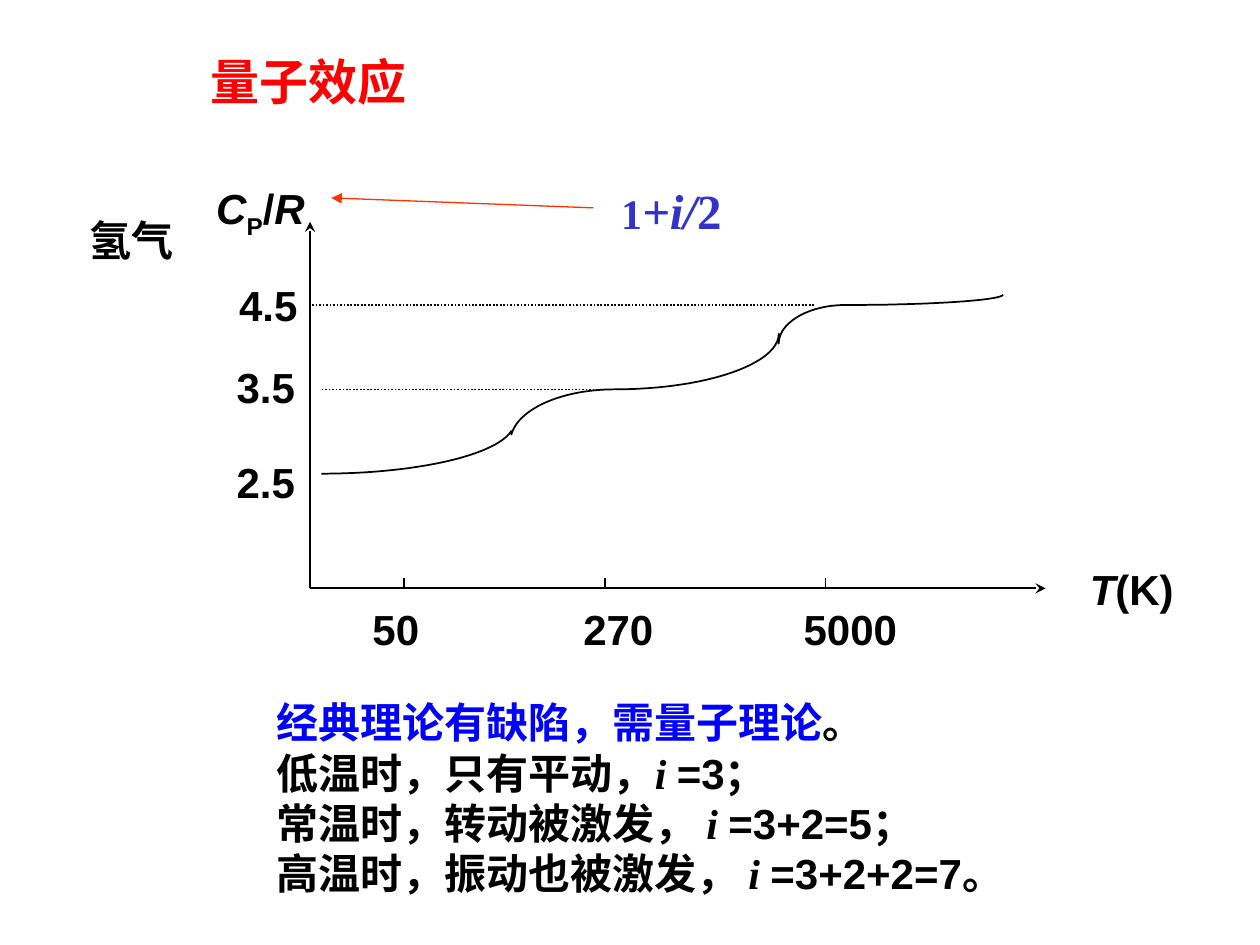
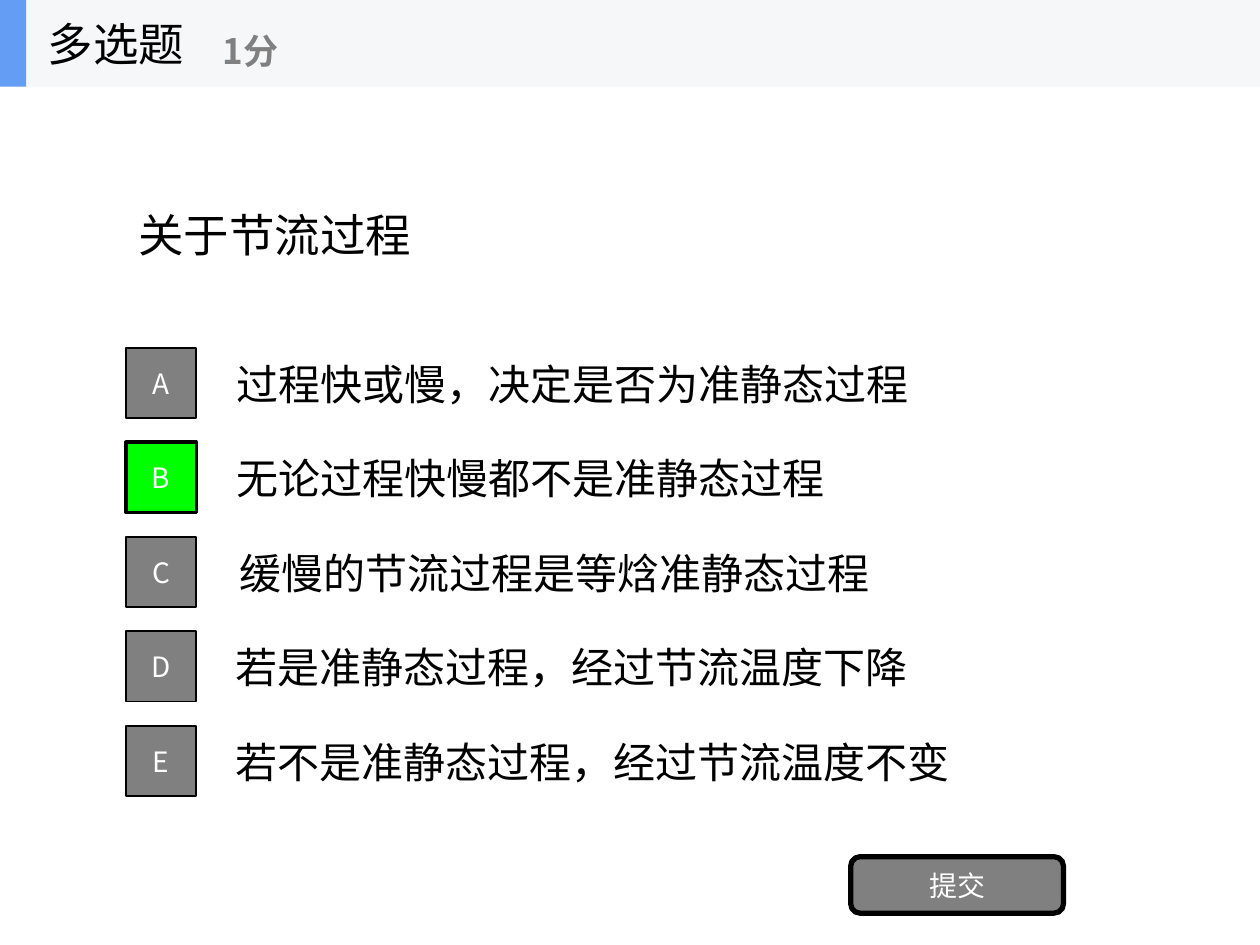
from dataclasses import dataclass

from lxml import etree
from pptx import Presentation
from pptx.dml.color import RGBColor
from pptx.enum.dml import MSO_LINE
from pptx.enum.shapes import MSO_CONNECTOR, MSO_SHAPE
from pptx.enum.text import MSO_ANCHOR, PP_ALIGN
from pptx.oxml.ns import qn
from pptx.util import Cm, Pt

STRAIGHT = MSO_CONNECTOR.STRAIGHT
RECTANGLE, ROUNDED = MSO_SHAPE.RECTANGLE, MSO_SHAPE.ROUNDED_RECTANGLE
LEFT, CENTER = PP_ALIGN.LEFT, PP_ALIGN.CENTER
TOP, MIDDLE = MSO_ANCHOR.TOP, MSO_ANCHOR.MIDDLE
DOTTED = MSO_LINE.ROUND_DOT


@dataclass(frozen=True)
class Theme:
    sans: str = "Arial"
    serif: str = "Times New Roman"
    chinese: str = "Noto Sans CJK SC"
    black: str = "000000"
    white: str = "FFFFFF"
    gray: str = "808080"
    red: str = "FF0000"
    arrow: str = "FF3300"
    blue: str = "0000FF"
    indigo: str = "3333CC"
    green: str = "00FF00"
    band: str = "F6F7F8"
    accent: str = "639EF4"
    heading: int = 28
    question: int = 26
    body: int = 24
    points: int = 20
    button: int = 16


THEME = Theme()


@dataclass(frozen=True)
class Style:
    size: int = THEME.body
    color: str = THEME.black
    font: str = THEME.sans
    bold: bool = True
    italic: bool = False
    baseline: int = 0


LABEL = Style()
LABEL_ITALIC = Style(italic=True)
SUBSCRIPT = Style(baseline=-25000)
VARIABLE = Style(font=THEME.serif, italic=True)
HEADING = Style(THEME.heading, THEME.red)
CONCLUSION = Style(color=THEME.blue)
FORMULA = Style(color=THEME.indigo, font=THEME.serif)
FORMULA_ITALIC = Style(THEME.heading, THEME.indigo, THEME.serif, italic=True)
FORMULA_LARGE = Style(THEME.heading, THEME.indigo, THEME.serif)
QUESTION = Style(THEME.question, font=THEME.chinese, bold=False)
ANSWER = Style(font=THEME.chinese, bold=False)
POINTS = Style(THEME.points, THEME.gray, THEME.chinese)
BUTTON = Style(THEME.button, THEME.white, THEME.chinese, bold=False)


def rgb(color):
    return RGBColor.from_string(color)


def style_run(run, style):
    font = run.font
    font.size, font.name = Pt(style.size), style.font
    font.bold, font.italic = style.bold, style.italic
    font.color.rgb = rgb(style.color)
    properties = font._element
    etree.SubElement(properties, qn("a:ea")).set("typeface", THEME.chinese)
    if style.baseline:
        properties.set("baseline", str(style.baseline))


def fill_text(frame, lines, align):
    """Each line is a list of (text, style) pairs."""
    for number, line in enumerate(lines):
        paragraph = frame.add_paragraph() if number else frame.paragraphs[0]
        paragraph.alignment = align
        for text, style in line:
            run = paragraph.add_run()
            run.text = text
            style_run(run, style)


def add_text(slide, left, top, width, height, *lines, align=LEFT, anchor=TOP,
             wrap=False):
    box = slide.shapes.add_textbox(Cm(left), Cm(top), Cm(width), Cm(height))
    box.text_frame.word_wrap = wrap
    box.text_frame.vertical_anchor = anchor
    fill_text(box.text_frame, lines, align)


def add_block(slide, left, top, width, height, fill, outline=0, label="",
              kind=RECTANGLE):
    block = slide.shapes.add_shape(kind, Cm(left), Cm(top), Cm(width), Cm(height))
    block.shadow.inherit = False
    block.fill.solid()
    block.fill.fore_color.rgb = rgb(fill)
    if outline:
        block.line.color.rgb = rgb(THEME.black)
        block.line.width = Pt(outline)
    else:
        block.line.fill.background()
    if label:
        block.text_frame.vertical_anchor = MIDDLE
        fill_text(block.text_frame, [[(label, BUTTON)]], CENTER)


def add_line(slide, start, end, color=THEME.black, width=1, dash=None, arrow=None):
    ends = [Cm(value) for value in (*start, *end)]
    connector = slide.shapes.add_connector(STRAIGHT, *ends)
    line = connector.line
    line.color.rgb = rgb(color)
    line.width = Pt(width)
    if dash:
        line.dash_style = dash
    if arrow:
        etree.SubElement(line._ln, qn("a:tailEnd")).set("type", arrow)
    etree.SubElement(connector._element.spPr, qn("a:effectLst"))


def bezier(p0, p1, p2, p3, steps=24):
    for step in range(steps + 1):
        t = step / steps
        weights = ((1 - t) ** 3, 3 * t * (1 - t) ** 2, 3 * t * t * (1 - t), t ** 3)
        yield tuple(Cm(sum(w * p[axis] for w, p in zip(weights, (p0, p1, p2, p3))))
                    for axis in (0, 1))


def add_curve(slide, segments):
    points = [point for segment in segments for point in bezier(*segment)]
    builder = slide.shapes.build_freeform(*points[0])
    builder.add_line_segments(points[1:], close=False)
    curve = builder.convert_to_shape()
    curve.shadow.inherit = False
    curve.fill.background()
    curve.line.color.rgb = rgb(THEME.black)
    curve.line.width = Pt(1)


def add_heat_capacity_graph(slide):
    origin_x, origin_y = 6.25, 11.86
    low, middle, high = 9.55, 7.85, 6.15

    # Axes with their names
    add_line(slide, (origin_x, origin_y), (origin_x, 4.47), arrow="stealth")
    add_line(slide, (origin_x, origin_y), (21.08, origin_y), arrow="stealth")
    add_text(slide, 4.11, 3.56, 2.31, 1.42,
             [("C", LABEL_ITALIC), ("P", SUBSCRIPT), ("/", LABEL), ("R", LABEL_ITALIC)])
    add_text(slide, 21.72, 11.23, 2.21, 1.27, [("T", LABEL_ITALIC), ("(K)", LABEL)])
    add_text(slide, 1.55, 4.19, 2.21, 1.27, [("氢气", LABEL)])

    # Capacity levels
    for value, left, top in (("2.5", 4.52, 9.07), ("3.5", 4.52, 7.16),
                             ("4.5", 4.57, 5.51)):
        add_text(slide, left, top, 1.7, 1.27, [(value, LABEL)])
    add_line(slide, (12.19, middle), (6.48, middle), dash=DOTTED)
    add_line(slide, (16.41, high), (origin_x, high), dash=DOTTED)

    # Temperature ticks
    for value, tick, left, width in (("50", 8.15, 7.26, 1.45),
                                     ("270", 12.19, 11.51, 1.93),
                                     ("5000", 16.64, 15.95, 2.39)):
        add_line(slide, (tick, origin_y - 0.2), (tick, origin_y))
        add_text(slide, left, 12.04, width, 1.27, [(value, LABEL)])

    # Stepped capacity curve
    add_curve(slide, [
        ((6.48, low), (8.36, low), (9.98, 9.19), (10.31, 8.69)),
        ((10.31, 8.76), (10.46, 8.23), (11.35, middle), (12.4, middle)),
        ((12.4, middle), (14.22, middle), (15.7, 7.34), (15.7, 6.73)),
        ((15.7, 6.93), (15.7, 6.5), (16.31, high), (17.04, high)),
        ((17.04, high), (18.8, high), (20.22, 6.05), (20.22, 5.94)),
    ])


def build_quantum_slide(slide):
    add_text(slide, 3.99, 0.91, 4.45, 1.45, [("量子效应", HEADING)], align=CENTER)
    add_heat_capacity_graph(slide)

    # Formula pointing to the vertical axis name
    add_line(slide, (11.96, 4.19), (6.68, 3.99), THEME.arrow, 0.75, arrow="triangle")
    add_text(slide, 12.27, 3.51, 2.54, 1.45,
             [("1", FORMULA), ("+i/", FORMULA_ITALIC), ("2", FORMULA_LARGE)])

    # Explanation
    regimes = [("低温时，只有平动，", "=3；"),
               ("常温时，转动被激发， ", "=3+2=5；"),
               ("高温时，振动也被激发， ", "=3+2+2=7。")]
    add_text(slide, 5.33, 13.92, 15.9, 4.32,
             [("经典理论有缺陷，需量子理论", CONCLUSION), ("。", LABEL)],
             *([(regime, LABEL), ("i ", VARIABLE), (freedom, LABEL)]
               for regime, freedom in regimes),
             wrap=True)


def build_quiz_slide(slide):
    # Header band
    header = 1.75
    add_block(slide, 0, 0, 25.4, header, THEME.band)
    add_block(slide, 0, 0, 0.53, header, THEME.accent)
    add_text(slide, 0.71, 0, 5.28, header, [("多选题", QUESTION)], anchor=MIDDLE)
    add_text(slide, 4.24, 0.3, 6.35, 1.42, [("1分", POINTS)], anchor=MIDDLE)

    # Question and answers
    add_text(slide, 2.54, header, 20.32, 5.94, [("关于节流过程", QUESTION)],
             anchor=MIDDLE, wrap=True)
    answers = [("A", "过程快或慢，决定是否为准静态过程", 4.52),
               ("B", "无论过程快慢都不是准静态过程", 4.52),
               ("C", "缓慢的节流过程是等焓准静态过程", 4.57),
               ("D", "若是准静态过程，经过节流温度下降", 4.5),
               ("E", "若不是准静态过程，经过节流温度不变", 4.5)]
    correct, pitch = "B", 1.905
    for row, (letter, answer, left) in enumerate(answers):
        fill, outline = (THEME.green, 2) if letter == correct else (THEME.gray, 1)
        offset = row * pitch
        add_block(slide, 2.54, 7.01 + offset, 1.42, 1.42, fill, outline, letter)
        add_text(slide, left, 6.84 + offset, 17.78, 1.78, [(answer, ANSWER)],
                 anchor=MIDDLE, wrap=True)

    # Submit button
    add_block(slide, 17.15, 17.27, 4.29, 1.14, THEME.gray, 3, "提交", ROUNDED)


def main():
    deck = Presentation()
    deck.slide_width, deck.slide_height = Cm(25.4), Cm(19.05)
    blank = deck.slide_layouts[6]
    for build in (build_quantum_slide, build_quiz_slide):
        build(deck.slides.add_slide(blank))
    deck.save("out.pptx")


if __name__ == "__main__":
    main()
